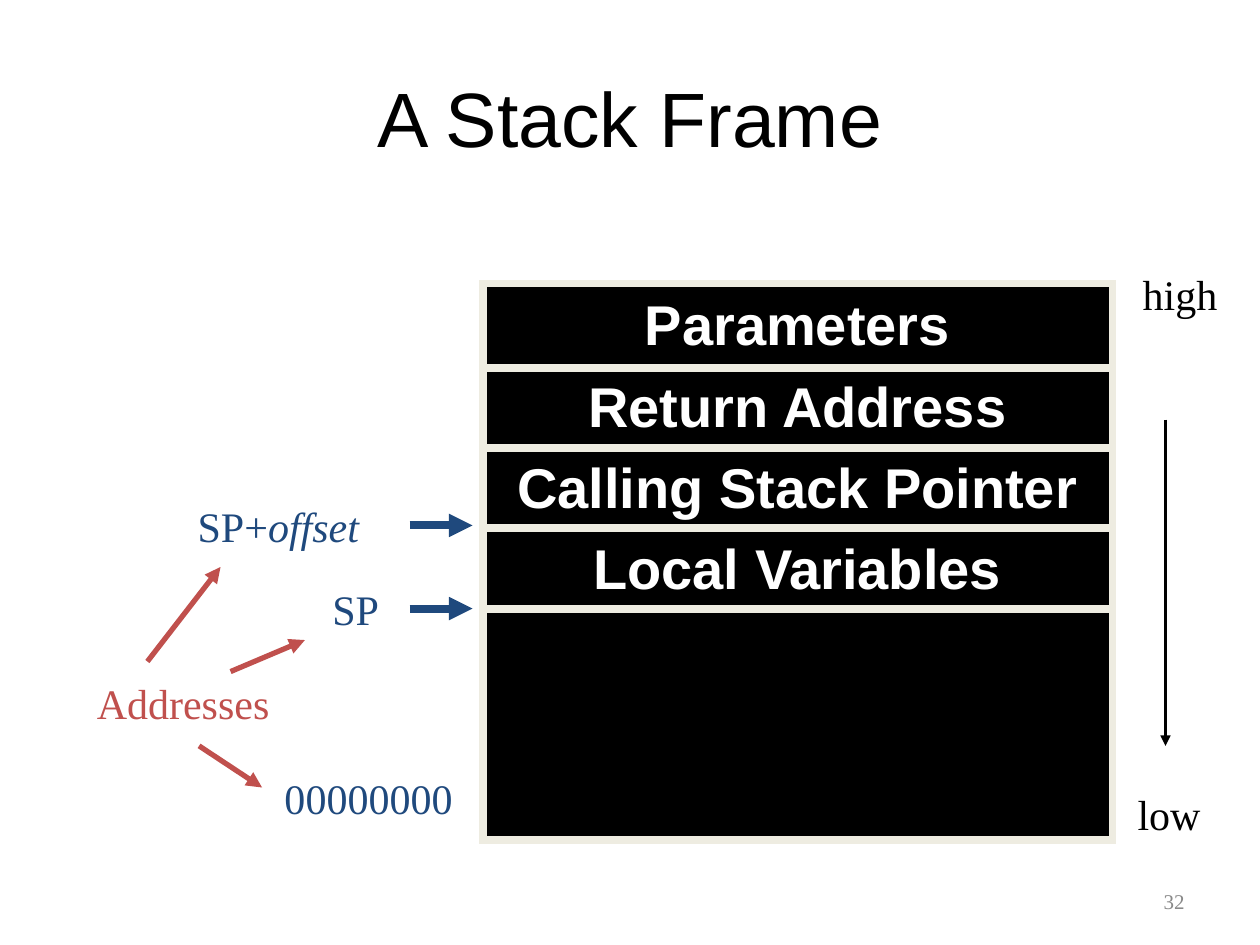
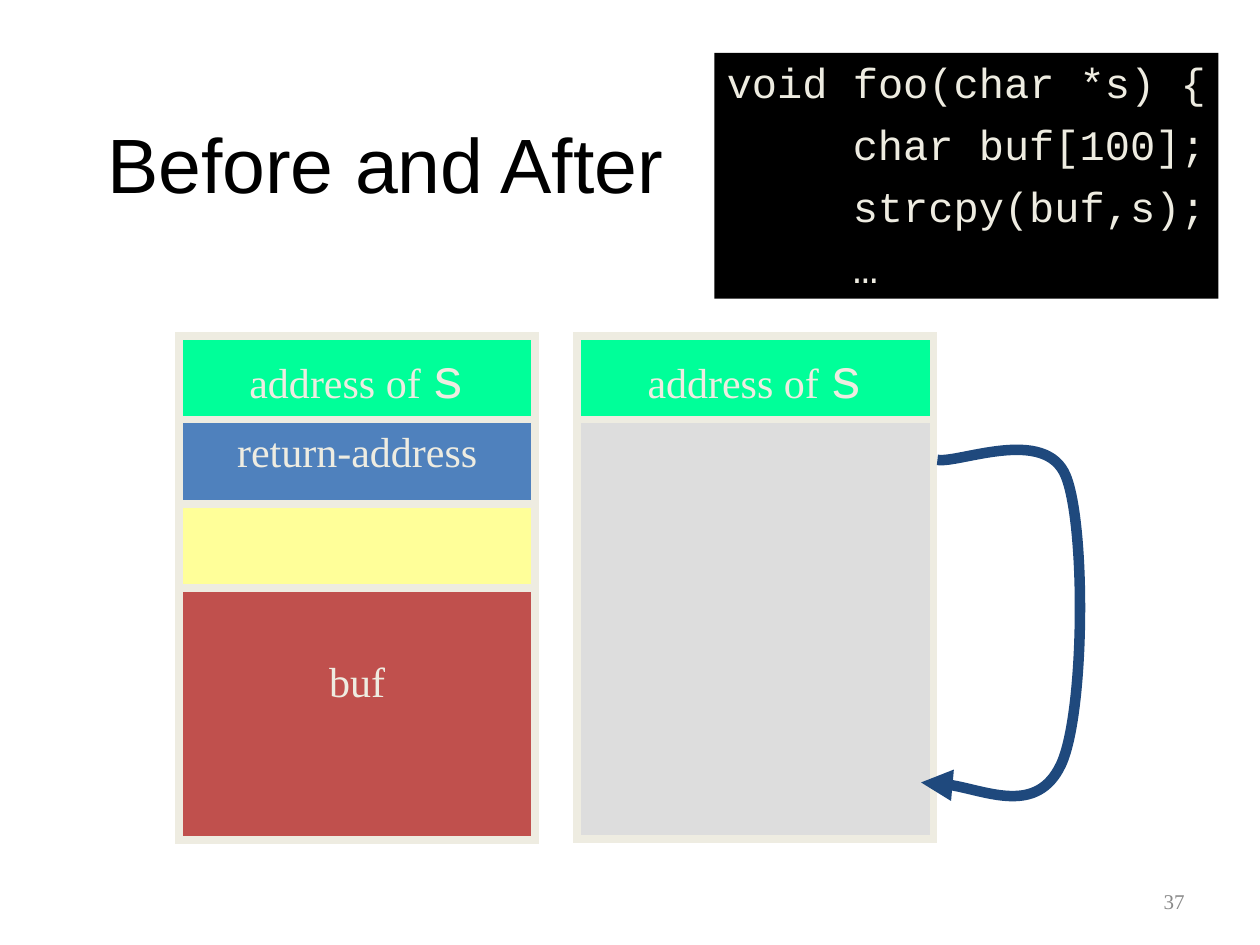
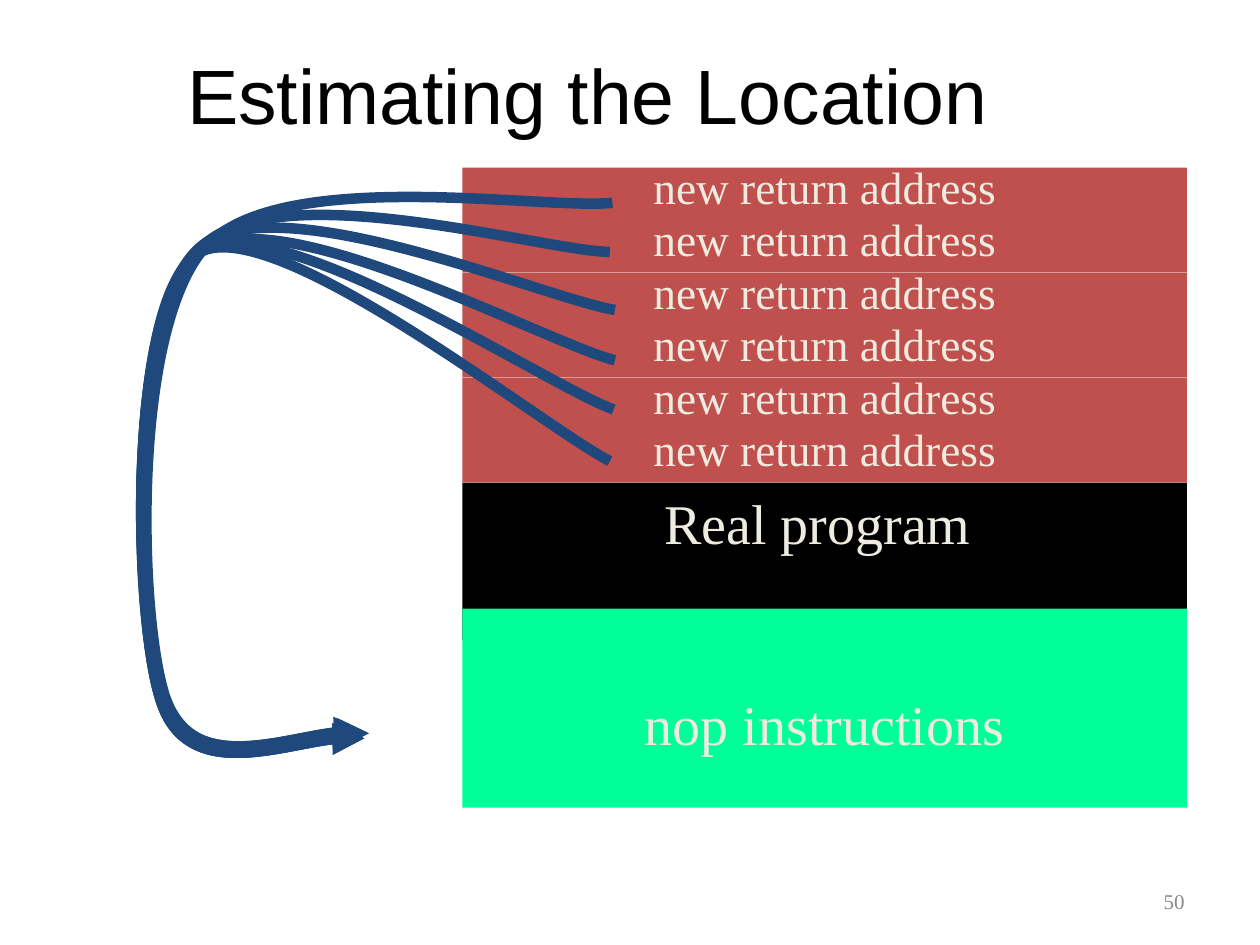
from pptx import Presentation
from pptx.dml.color import RGBColor
from pptx.enum.shapes import MSO_CONNECTOR, MSO_SHAPE
from pptx.enum.text import MSO_ANCHOR, MSO_AUTO_SIZE, PP_ALIGN
from pptx.oxml.ns import qn
from pptx.util import Inches, Pt

BLACK = RGBColor(0x00, 0x00, 0x00)
WHITE = RGBColor(0xFF, 0xFF, 0xFF)
CREAM = RGBColor(0xEE, 0xEC, 0xE1)
NAVY = RGBColor(0x1F, 0x49, 0x7D)
BLUE = RGBColor(0x4F, 0x81, 0xBD)
RED = RGBColor(0xC0, 0x50, 0x4D)
GREEN = RGBColor(0x00, 0xFF, 0x99)
YELLOW = RGBColor(0xFF, 0xFF, 0x99)
LIGHT_GRAY = RGBColor(0xDD, 0xDD, 0xDD)
NUMBER_GRAY = RGBColor(0x89, 0x89, 0x89)

SANS, SERIF, MONO = "Arial", "Times New Roman", "Courier New"
LEFT, CENTER, RIGHT = PP_ALIGN.LEFT, PP_ALIGN.CENTER, PP_ALIGN.RIGHT
TOP, MIDDLE = MSO_ANCHOR.TOP, MSO_ANCHOR.MIDDLE
RECTANGLE = MSO_SHAPE.RECTANGLE
STRAIGHT = MSO_CONNECTOR.STRAIGHT
NO_AUTOFIT = MSO_AUTO_SIZE.NONE

TITLE_AND_BODY, TITLE_ONLY = 1, 5
BORDER = 4.5

TITLE_FONT = {"name": SANS, "size": Pt(44), "color": BLACK}
STACK_FONT = {"name": SANS, "size": Pt(32), "bold": True, "color": WHITE}
CODE_FONT = {"name": MONO, "size": Pt(24), "color": CREAM}
CELL_FONT = {"name": SERIF, "size": Pt(24), "color": CREAM}
ADDRESS_FONT = {**CELL_FONT, "size": Pt(25.9)}
PROGRAM_FONT = {**CELL_FONT, "size": Pt(32)}
NUMBER_FONT = {"name": SERIF, "size": Pt(12), "color": NUMBER_GRAY}


def format_font(font, values):
    for name, value in values.items():
        if name == "color":
            font.color.rgb = value
        else:
            setattr(font, name, value)


def append_child(parent, tag, **attributes):
    child = parent.makeelement(qn(tag), attributes)
    parent.append(child)
    return child


def write_text(shape, paragraphs, font, align=LEFT, anchor=TOP, top_inset=0.05,
               wrap=True, space_before=0, line_spacing=None, tab_stop=None):
    """Fill a shape; a paragraph is a string or a list of (text, font overrides)."""
    frame = shape.text_frame
    frame_values = {
        "word_wrap": wrap, "auto_size": NO_AUTOFIT, "vertical_anchor": anchor,
        "margin_left": Inches(0.1), "margin_right": Inches(0.1),
        "margin_top": Inches(top_inset), "margin_bottom": Inches(0.05),
    }
    for name, value in frame_values.items():
        setattr(frame, name, value)
    for index, runs in enumerate(paragraphs):
        paragraph = frame.add_paragraph() if index else frame.paragraphs[0]
        paragraph.alignment = align
        paragraph.space_before = Pt(space_before if index else 0)
        if line_spacing:
            paragraph.line_spacing = line_spacing
        if tab_stop:
            tabs = append_child(paragraph._p.get_or_add_pPr(), "a:tabLst")
            append_child(tabs, "a:tab", pos=str(Inches(tab_stop)), algn="l")
        for text, overrides in [(runs, {})] if isinstance(runs, str) else runs:
            run = paragraph.add_run()
            run.text = text
            format_font(run.font, {**font, **overrides})


def place(shape, left, top, width, height):
    shape.left, shape.top = Inches(left), Inches(top)
    shape.width, shape.height = Inches(width), Inches(height)


def add_slide(presentation, layout, title, title_box, number, align=CENTER):
    slide = presentation.slides.add_slide(presentation.slide_layouts[layout])
    place(slide.shapes.title, *title_box)
    write_text(slide.shapes.title, [title], TITLE_FONT, align, MIDDLE)
    add_label(slide, (7.17, 6.95, 2.33, 0.4), str(number), NUMBER_FONT,
              align=RIGHT, anchor=MIDDLE, wrap=True)
    return slide


def add_label(slide, box, runs, font, wrap=False, **options):
    label = slide.shapes.add_textbox(*map(Inches, box))
    write_text(label, [runs], font, wrap=wrap, **options)


def add_block(slide, box, fill, paragraphs=(), font=CELL_FONT, border=BORDER,
              align=CENTER, **options):
    block = slide.shapes.add_shape(RECTANGLE, *map(Inches, box))
    block.shadow.inherit = False
    block.fill.solid()
    block.fill.fore_color.rgb = fill
    format_line(block, CREAM, border)
    write_text(block, paragraphs, font, align, **options)


def format_line(shape, color, width, arrow=False):
    if not width:
        shape.line.fill.background()
        return
    shape.line.color.rgb = color
    shape.line.width = Pt(width)
    line = shape.line._get_or_add_ln()
    append_child(line, "a:miter", lim="800000")
    if arrow:
        append_child(line, "a:tailEnd", type="triangle")


def add_line(slide, start, end, color, width, arrow=False):
    connector = slide.shapes.add_connector(STRAIGHT, *map(Inches, start + end))
    format_line(connector, color, width, arrow)
    append_child(connector._element.spPr, "a:effectLst")


def add_curved_arrow(slide, points):
    """Draw a start point followed by cubic segments of three points each."""
    scaled = [(Inches(x), Inches(y)) for x, y in points]
    builder = slide.shapes.build_freeform(*scaled[0])
    builder.add_line_segments(scaled[1:], close=False)
    arrow = builder.convert_to_shape()
    arrow.shadow.inherit = False
    arrow.fill.background()
    format_line(arrow, NAVY, 6, arrow=True)
    outline = arrow._element.spPr.find(".//" + qn("a:path"))
    segments = outline.findall(qn("a:lnTo"))
    for first in range(0, len(segments), 3):
        curve = append_child(outline, "a:cubicBezTo")
        for segment in segments[first:first + 3]:
            curve.append(segment[0])
            outline.remove(segment)


def build_stack_frame(presentation):
    slide = add_slide(presentation, TITLE_AND_BODY, "A Stack Frame",
                      (0.5, 0.3, 9, 1.25), 32)
    left, width = 3.83, 5
    stack = slide.placeholders[1]
    place(stack, left, 2.25, width, 4.42)
    stack.fill.solid()
    stack.fill.fore_color.rgb = BLACK
    format_line(stack, CREAM, BORDER)
    write_text(stack, ["Parameters", "Return Address", "Calling Stack Pointer",
                       "Local Variables"],
               STACK_FONT, CENTER, space_before=8)
    for paragraph in stack.text_frame.paragraphs:
        properties = paragraph._p.get_or_add_pPr()
        properties.set("marL", "0")
        properties.set("indent", "0")
        append_child(properties, "a:buNone")

    first_divider, last_divider = 2.92, 4.83
    for index in range(4):
        y = first_divider + index * (last_divider - first_divider) / 3
        add_line(slide, (left, y), (left + width, y), CREAM, BORDER)

    labels = [
        ("00000000", 2.16, 6.08, 1.53, NAVY),
        ("Addresses", 0.67, 5.33, 1.57, RED),
        ("SP", 2.54, 4.58, 0.57, NAVY),
        ([("SP+", {}), ("offset", {"italic": True})], 1.47, 3.92, 1.48, NAVY),
        ("low", 8.93, 6.21, 0.7, BLACK),
        ("high", 8.97, 2.08, 0.79, BLACK),
    ]
    for runs, x, y, label_width, color in labels:
        add_label(slide, (x, y, label_width, 0.5), runs,
                  {**CELL_FONT, "color": color})

    arrows = [
        ((3.25, 4.83), (3.75, 4.83), NAVY, 4.5),
        ((3.25, 4.17), (3.75, 4.17), NAVY, 4.5),
        ((1.83, 5.33), (2.42, 5.08), RED, 3),
        ((1.58, 5.92), (2.08, 6.25), RED, 3),
        ((1.17, 5.25), (1.75, 4.5), RED, 3),
        ((9.25, 3.33), (9.25, 5.92), BLACK, 1.5),
    ]
    for start, end, color, line_width in arrows:
        add_line(slide, start, end, color, line_width, arrow=True)


def build_before_and_after(presentation):
    slide = add_slide(presentation, TITLE_ONLY, "Before and After",
                      (0.75, 0.67, 4.83, 1.25), 37, LEFT)
    add_block(slide, (5.67, 0.42, 4, 1.95), BLACK,
              ["void foo(char *s) {", "\tchar buf[100];", "\tstrcpy(buf,s);", "\t…"],
              CODE_FONT, border=0, align=LEFT, wrap=False, top_inset=0.03,
              space_before=6.5, tab_stop=1)

    before, after, width, row = 1.42, 4.58, 2.83, 0.67
    argument = [("address of ", {}), ("s", {"name": MONO, "size": Pt(32)})]
    for left in (before, after):
        add_block(slide, (left, 2.67, width, row), GREEN, [argument])
    add_block(slide, (before, 3.33, width, row), BLUE, ["return-address"])
    add_block(slide, (before, 4, width, row), YELLOW)
    add_block(slide, (before, 4.67, width, 2), RED, ["buf"], top_inset=0.53)
    add_block(slide, (after, 3.33, width, 3.33), LIGHT_GRAY)
    add_curved_arrow(slide, [
        (7.44, 3.65), (7.61, 3.68), (8.3, 3.38), (8.46, 3.78), (8.62, 4.18),
        (8.61, 5.67), (8.42, 6.07), (8.23, 6.47), (7.54, 6.18), (7.31, 6.21)])


def build_estimating(presentation):
    slide = add_slide(presentation, TITLE_ONLY, "Estimating the Location ",
                      (0.5, 0.33, 8.5, 0.83), 50)
    left, width = 3.67, 5.75
    add_block(slide, (left, 3.83, width, 1.25), BLACK, ["Real program "],
              PROGRAM_FONT, border=0)
    row_top, row_height = 1.33, 2.5 / 6
    for index in range(6):
        add_block(slide, (left, row_top + index * row_height, width, row_height),
                  RED, ["new return address"], ADDRESS_FONT, border=0,
                  line_spacing=0.7)
    add_block(slide, (left, 4.83, width, 1.58), GREEN, ["nop instructions"],
              PROGRAM_FONT, border=0, top_inset=0.64)

    upper_tail = [(1.29, 5.52), (1.51, 6.16), (2.57, 5.75), (2.9, 5.81)]
    lower_tail = [(1.28, 5.57), (1.49, 6.21), (2.56, 5.8), (2.89, 5.86)]
    curves = [
        [(4.86, 1.61), (4.32, 1.67), (2.22, 1.31), (1.63, 1.96), (1.04, 2.62),
         (1.1, 4.89), (1.31, 5.53), (1.53, 6.17), (2.59, 5.76), (2.93, 5.82)],
        [(4.84, 2), (4.3, 1.99), (2.2, 1.37), (1.6, 1.96), (1.01, 2.55),
         (1.07, 4.88), *upper_tail],
        [(4.88, 2.46), (4.33, 2.37), (2.19, 1.45), (1.59, 1.96), (0.99, 2.47),
         (1.06, 4.88), *upper_tail],
        [(4.88, 2.86), (4.33, 2.72), (2.19, 1.55), (1.59, 2), (0.99, 2.45),
         (1.06, 4.93), *lower_tail],
        [(4.87, 3.25), (4.32, 3.05), (2.19, 1.62), (1.59, 2), (0.99, 2.39),
         (1.06, 4.93), *lower_tail],
        [(4.84, 3.66), (4.3, 3.38), (2.19, 1.69), (1.59, 2), (1, 2.32),
         (1.06, 4.93), *lower_tail],
    ]
    for points in curves:
        add_curved_arrow(slide, points)


def main():
    presentation = Presentation()
    presentation.slide_width = Inches(10)
    presentation.slide_height = Inches(7.5)
    build_stack_frame(presentation)
    build_before_and_after(presentation)
    build_estimating(presentation)
    presentation.save("out.pptx")


if __name__ == "__main__":
    main()
